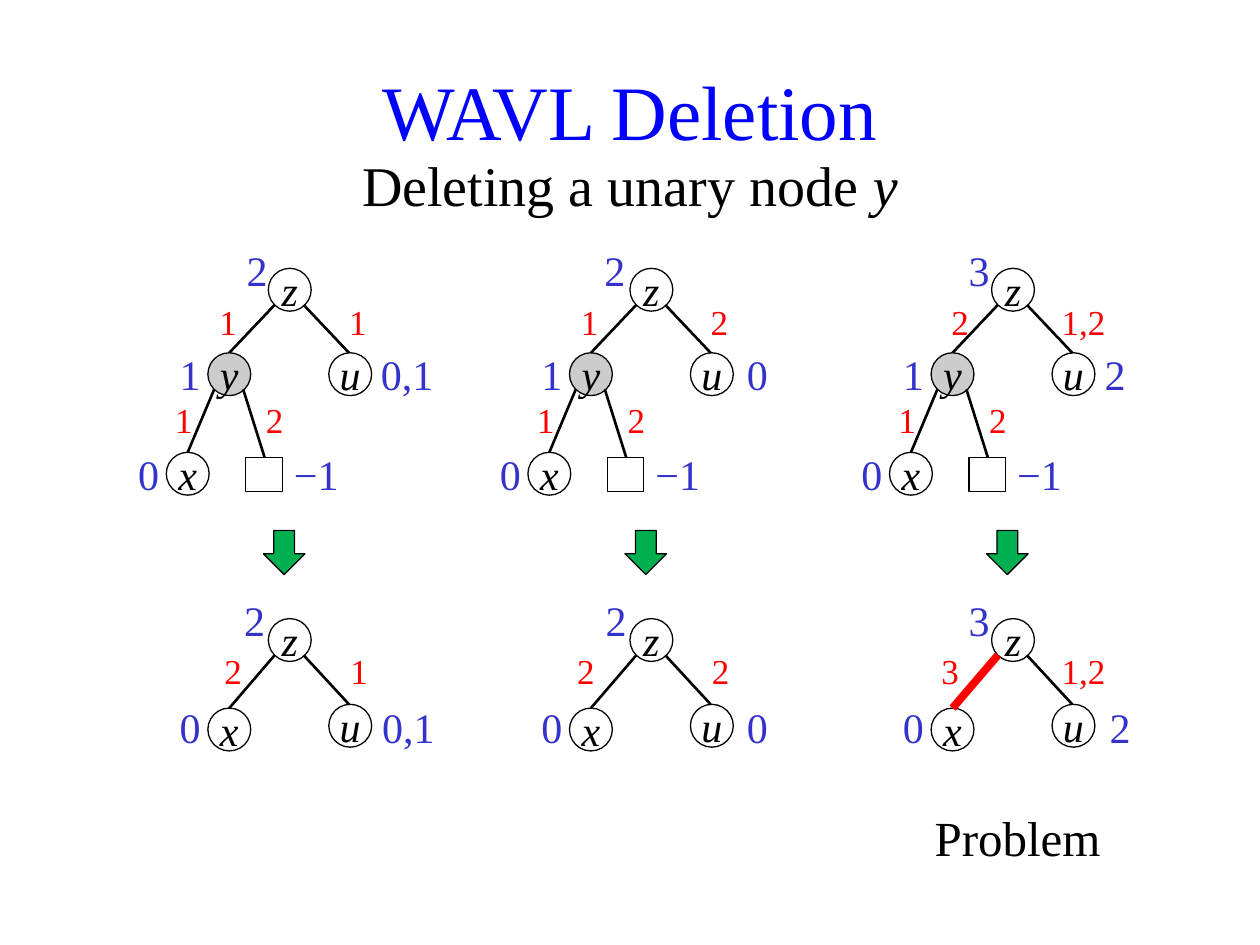
"""Build the WAVL deletion slide: three cases of removing a unary node."""
from lxml import etree
from pptx import Presentation
from pptx.dml.color import RGBColor
from pptx.enum.shapes import MSO_CONNECTOR, MSO_SHAPE
from pptx.enum.text import MSO_ANCHOR, PP_ALIGN
from pptx.oxml.ns import qn
from pptx.util import Inches, Pt

FONT = "Times New Roman"
BLACK = RGBColor(0, 0, 0)
BLUE = RGBColor(0, 0, 255)
RANK_BLUE = RGBColor(0x33, 0x33, 0xCC)
RED = RGBColor(255, 0, 0)
GREEN = RGBColor(0, 0xB0, 0x50)
GREY = RGBColor(0xCC, 0xCC, 0xCC)
CIRCLE, SQUARE, ARROW = MSO_SHAPE.OVAL, MSO_SHAPE.RECTANGLE, MSO_SHAPE.RIGHT_ARROW
STRAIGHT, MIDDLE, CENTER = MSO_CONNECTOR.STRAIGHT, MSO_ANCHOR.MIDDLE, PP_ALIGN.CENTER

COLUMN_PITCH = 2.87
NODE = 0.34
PROBLEM_CASE = 2

BEFORE = {
    "nodes": [("z", 2.13, 2.13, None), ("y", 1.65, 2.8, GREY),
              ("u", 2.61, 2.8, None), ("x", 1.32, 3.59, None)],
    "edges": [(2.18, 2.42, 1.82, 2.8), (2.41, 2.42, 2.77, 2.8),
              (1.7, 3.09, 1.49, 3.59), (1.93, 3.09, 2.1, 3.63)],
    "ranks": [(("2", "2", "3"), (2.04, 2.01, 2.03), 1.89, 0.71),
              (("1", "1", "1"), (1.51, 1.51, 1.51), 2.72, 0.43),
              (("0,1", "0", "2"), (3.23, 3.14, 3.11), 2.72, 0.71),
              (("0", "0", "0"), (1.18, 1.18, 1.18), 3.51, 0.43),
              (("−1", "−1", "−1"), (2.51, 2.51, 2.51), 3.51, 0.66)],
    "differences": [(("1", "1", "2"), (1.81, 1.81, 1.88), 2.33, 0.64),
                    (("1", "2", "1,2"), (2.84, 2.84, 2.86), 2.33, 0.64),
                    (("1", "1", "1"), (1.46, 1.46, 1.46), 3.11, 0.43),
                    (("2", "2", "2"), (2.18, 2.18, 2.18), 3.11, 0.43)],
}
AFTER = {
    "nodes": [("z", 2.13, 4.91, None), ("u", 2.61, 5.59, None), ("x", 1.65, 5.62, None)],
    "edges": [(2.18, 5.2, 1.82, 5.62), (2.41, 5.2, 2.77, 5.59)],
    "ranks": [(("2", "2", "3"), (2.02, 2.02, 2.03), 4.67, 0.71),
              (("0", "0", "0"), (1.51, 1.51, 1.51), 5.52, 0.43),
              (("0,1", "0", "2"), (3.24, 3.14, 3.15), 5.52, 0.71)],
    "differences": [(("2", "2", "3"), (1.85, 1.78, 1.8), 5.1, 0.68),
                    (("1", "2", "1,2"), (2.85, 2.85, 2.86), 5.1, 0.64)],
}


def write(shape, text, size, color, italic=False):
    frame = shape.text_frame
    frame.text = text
    frame.word_wrap = True
    frame.vertical_anchor = MIDDLE
    paragraph = frame.paragraphs[0]
    paragraph.alignment = CENTER
    font = paragraph.runs[0].font
    font.name, font.size, font.italic = FONT, Pt(size), italic
    font.color.rgb = color
    return paragraph


def outline(shapes, preset, left, top, width, height, fill):
    shape = shapes.add_shape(preset, Inches(left), Inches(top), Inches(width), Inches(height))
    shape.shadow.inherit = False
    if fill is None:
        shape.fill.background()
    else:
        shape.fill.solid()
        shape.fill.fore_color.rgb = fill
    shape.line.color.rgb = BLACK
    shape.line.width = Pt(0.75)
    return shape


prs = Presentation()
prs.slide_width, prs.slide_height = Inches(10), Inches(7.5)
slide = prs.slides.add_slide(prs.slide_layouts[5])

title = slide.shapes.title
title.left, title.top, title.width, title.height = 0, Inches(0.36), prs.slide_width, Inches(1.02)
write(title, "WAVL Deletion", 44, BLUE)

subtitle = slide.shapes.add_textbox(0, Inches(1.14), prs.slide_width, Inches(0.64))
heading = write(subtitle, "Deleting a unary node ", 32, BLACK)
node_name = heading.add_run()
node_name.text = "y"
node_name.font.name, node_name.font.size, node_name.font.italic = FONT, Pt(32), True
node_name.font.color.rgb = BLACK

for case in range(3):
    offset = case * COLUMN_PITCH
    step = outline(slide.shapes, ARROW, 2.08 + offset, 4.22, 0.35, 0.33, GREEN)
    step.rotation = 90

    for stage in (BEFORE, AFTER):
        tree = slide.shapes.add_group_shape().shapes
        for name, left, top, fill in stage["nodes"]:
            node = outline(tree, CIRCLE, left + offset, top, NODE, NODE, fill)
            write(node, name, 24, BLACK, italic=True)
            frame = node.text_frame
            frame.margin_left = frame.margin_right = frame.margin_top = frame.margin_bottom = 0

        if stage is BEFORE:
            outline(tree, SQUARE, 1.95 + offset, 3.63, 0.29, 0.27, None)

        for index, (x1, y1, x2, y2) in enumerate(stage["edges"]):
            edge = tree.add_connector(STRAIGHT, Inches(x1 + offset), Inches(y1),
                                      Inches(x2 + offset), Inches(y2))
            violation = stage is AFTER and case == PROBLEM_CASE and index == 0
            edge.line.color.rgb = RED if violation else BLACK
            edge.line.width = Pt(4.5 if violation else 1.5)
            etree.SubElement(edge._element.spPr, qn("a:effectLst"))

        for kind, size, height, color in (("ranks", 24, 0.5, RANK_BLUE),
                                          ("differences", 20, 0.44, RED)):
            for values, centers, top, width in stage[kind]:
                label = tree.add_textbox(Inches(centers[case] + offset - width / 2),
                                         Inches(top), Inches(width), Inches(height))
                write(label, values[case], size, color)

verdict = slide.shapes.add_textbox(Inches(6.93), Inches(6.36), Inches(2.29), Inches(0.57))
write(verdict, "Problem", 28, BLACK)

prs.save("out.pptx")
